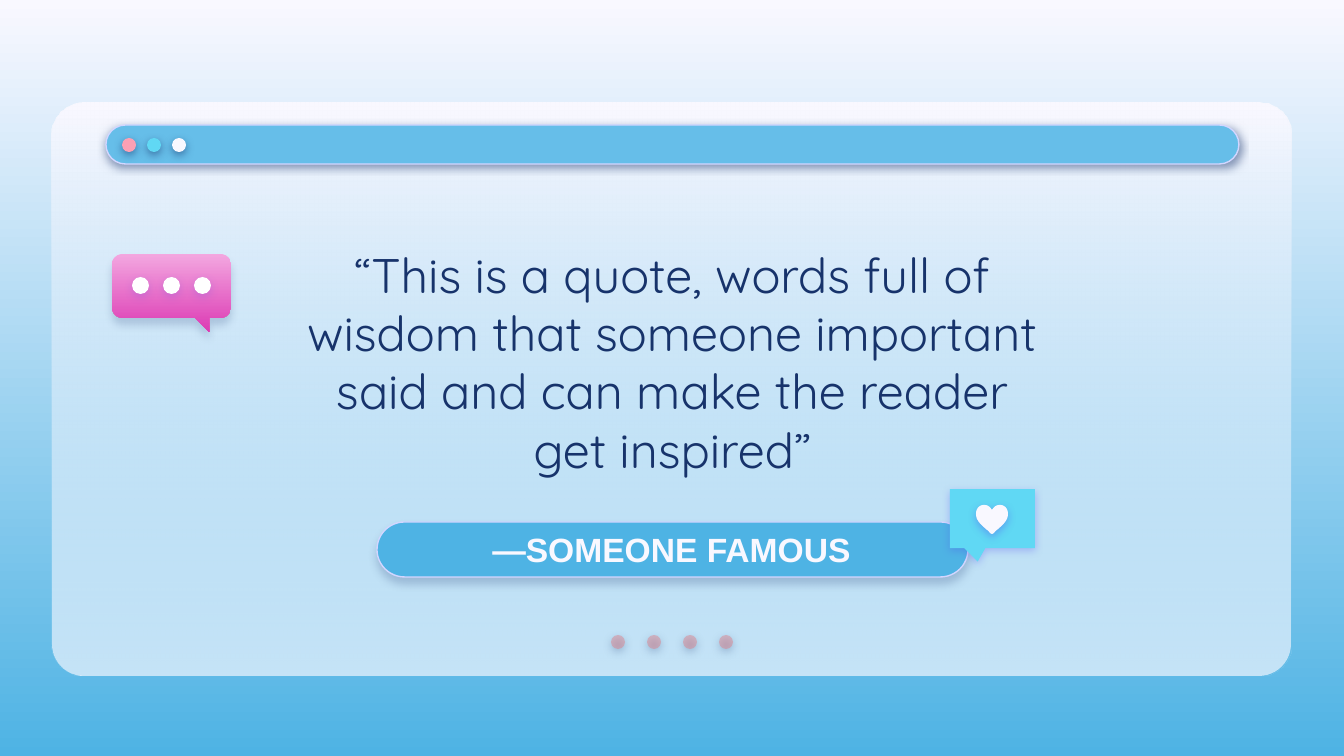
from math import cos, radians, sin
from lxml.etree import SubElement
from pptx import Presentation
from pptx.dml.color import RGBColor
from pptx.enum.shapes import MSO_SHAPE
from pptx.enum.text import MSO_ANCHOR, MSO_AUTO_SIZE, PP_ALIGN
from pptx.oxml.ns import qn
from pptx.util import Inches, Pt

PX = 914400 / 134.4
COLORS = {
    "white": "FFFFFF", "mist": "F9F8FF", "sky": "4EB3E4", "light_sky": "66BEE9",
    "border": "D2D6FF", "navy": "17336B", "violet": "5352EE", "cyan": "60D8F4",
    "rose": "FDA0B4", "coral": "E27B83", "pink": "F3A7E0", "magenta": "DC3BB4",
}


def add_text(shape, text, box, font, size, color, bold=False, space_after=0):
    """Fill a placeholder, move it to its box and bring it to the front."""
    shape.left, shape.top, shape.width, shape.height = [round(v * PX) for v in box]
    slide.shapes._spTree.append(shape._element)
    frame = shape.text_frame
    frame.word_wrap = True
    frame.auto_size = MSO_AUTO_SIZE.NONE
    frame.vertical_anchor = MSO_ANCHOR.MIDDLE
    frame.margin_left = frame.margin_right = Inches(0.1)
    frame.margin_top = frame.margin_bottom = Inches(0.1)
    paragraph = frame.paragraphs[0]
    paragraph.alignment = PP_ALIGN.CENTER
    paragraph.space_before, paragraph.space_after = Pt(0), Pt(space_after)
    run = paragraph.add_run()
    run.text = text
    run.font.name, run.font.size, run.font.bold = font, Pt(size), bold
    run.font.color.rgb = RGBColor.from_string(COLORS[color])


def style(shape, fill, line=None, alpha=None, shadow=None):
    """fill is a color name or a (top, bottom) pair; alpha applies to the last color;
    shadow is (color, opacity, distance in points)."""
    if isinstance(fill, tuple):
        shape.fill.gradient()
        shape.fill.gradient_angle = 270
        for stop, name in zip(shape.fill.gradient_stops, fill):
            stop.color.rgb = RGBColor.from_string(COLORS[name])
    else:
        shape.fill.solid()
        shape.fill.fore_color.rgb = RGBColor.from_string(COLORS[fill])
    properties = shape._element.spPr
    if alpha:
        last_color = list(properties.iter(qn("a:srgbClr")))[-1]
        SubElement(last_color, qn("a:alpha"), val=str(alpha * 1000))
    if line:
        shape.line.color.rgb = RGBColor.from_string(COLORS[line])
        shape.line.width = Pt(0.75)
    else:
        shape.line.fill.background()
    shape.shadow.inherit = False
    if shadow:
        name, opacity, distance = shadow
        outer = SubElement(properties.find(qn("a:effectLst")), qn("a:outerShdw"),
                           blurRad=str(Pt(4.5)), dist=str(Pt(distance)),
                           dir="5400000", algn="bl", rotWithShape="0")
        shadow_color = SubElement(outer, qn("a:srgbClr"), val=COLORS[name])
        SubElement(shadow_color, qn("a:alpha"), val=str(opacity * 1000))


presentation = Presentation()
presentation.slide_width, presentation.slide_height = round(1344 * PX), round(756 * PX)
slide = presentation.slides.add_slide(presentation.slide_layouts[0])

# Background
background = slide.background.fill
background.gradient()
background.gradient_angle = 270
for stop, name in zip(background.gradient_stops, ("mist", "sky")):
    stop.color.rgb = RGBColor.from_string(COLORS[name])

# Window panel, title bar and author pill
deep_shadow = ("navy", 50, 1.5)
for box, rounding, look in [
    ((52, 103, 1239, 573), 0.056, dict(fill="mist")),
    ((52, 103, 1239, 573), 0.056, dict(fill=("mist", "light_sky"), alpha=35)),
    ((106, 125, 1133, 39), 0.5, dict(fill="light_sky", line="border", shadow=deep_shadow)),
    ((377, 522, 591, 55), 0.5, dict(fill="sky", line="border", shadow=("navy", 22, 3))),
]:
    bar = slide.shapes.add_shape(MSO_SHAPE.ROUNDED_RECTANGLE, *[round(v * PX) for v in box])
    bar.adjustments[0] = rounding
    style(bar, **look)

# Quote and author
add_text(slide.shapes.title, "—SOMEONE FAMOUS", (421, 528, 501, 43),
         font="Arial", size=18, color="mist", bold=True)
add_text(slide.placeholders[1],
         "“This is a quote, words full of wisdom that someone important said "
         "and can make the reader get inspired”", (281, 215, 783, 293),
         font="Quicksand", size=26, color="navy", space_after=12)

# Heart callout
callout = slide.shapes.add_shape(MSO_SHAPE.ROUNDED_RECTANGULAR_CALLOUT,
                                 *[round(v * PX) for v in (950, 489, 85, 59)])
for index, value in enumerate((-0.174, 0.731, 0)):
    callout.adjustments[index] = value
style(callout, "cyan", shadow=("violet", 31, 1.5))

# Heart: the right half as offsets from the notch, then its mirror image
curves = [
    [(0, 5), (2, 2), (4, 0), (8, 0)],
    [(8, 0), (13, 0), (16, 4), (16, 9)],
    [(16, 9), (16, 15), (12, 19), (5, 25)],
    [(5, 25), (3, 26), (2, 29), (0, 29)],
]
right_half = []
for curve in curves:
    for t in [step / 12 for step in range(12)]:
        weights = ((1 - t) ** 3, 3 * t * (1 - t) ** 2, 3 * t * t * (1 - t), t ** 3)
        right_half.append([sum(w * point[axis] for w, point in zip(weights, curve))
                           for axis in (0, 1)])
outline = right_half + [(0, 29)] + [(-x, y) for x, y in reversed(right_half)]
points = [((992 + x) * PX, (505 + y) * PX) for x, y in outline]
builder = slide.shapes.build_freeform(*points[0])
builder.add_line_segments(points[1:])
style(builder.convert_to_shape(), "mist", shadow=("violet", 38, 1.5))

# Chat bubble: rounded corners clockwise from bottom right, with a tail
radius = 11
outline = []
for x, y, start in [(220, 307, 0), (123, 307, 90), (123, 265, 180), (220, 265, 270)]:
    outline += [(x + radius * cos(radians(angle)), y + radius * sin(radians(angle)))
                for angle in range(start, start + 91, 10)]
    if start == 0:
        outline += [(209, 318), (209, 332), (195, 318)]
points = [(x * PX, y * PX) for x, y in outline]
builder = slide.shapes.build_freeform(*points[0])
builder.add_line_segments(points[1:])
style(builder.convert_to_shape(), ("pink", "magenta"), shadow=("navy", 18, 3.8))

# Dot rows: page marks, window buttons and chat dots
for left, top, pitch, size, names, look in [
    (611, 635, 36, 14, ["coral"] * 4, dict(alpha=44, shadow=deep_shadow)),
    (122, 138, 25, 14, ["rose", "cyan", "mist"], dict(shadow=deep_shadow)),
    (132, 277, 31, 17, ["white"] * 3, dict(shadow=("violet", 18, 1.5))),
]:
    for index, name in enumerate(names):
        dot = slide.shapes.add_shape(MSO_SHAPE.OVAL, round((left + index * pitch) * PX),
                                     round(top * PX), round(size * PX), round(size * PX))
        style(dot, name, **look)

presentation.save("out.pptx")
